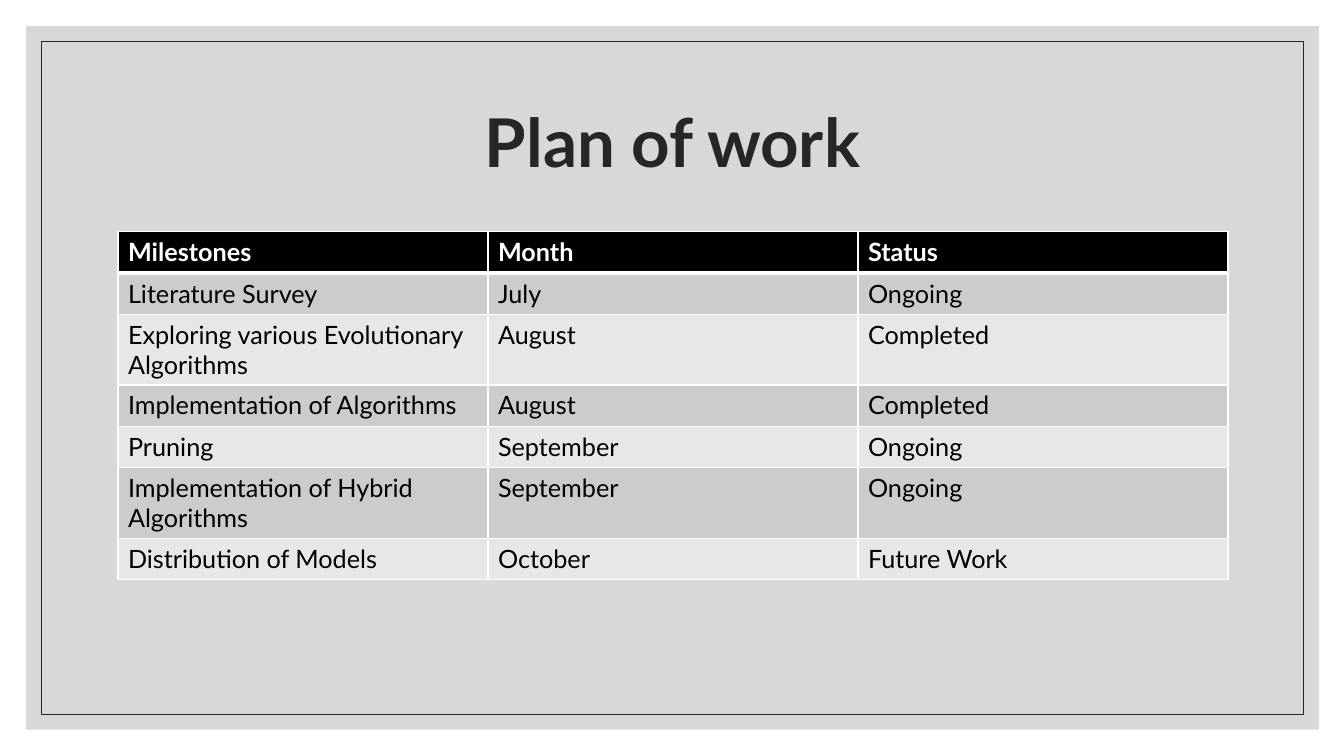
from dataclasses import dataclass

import lxml.etree
import pptx
import pptx.dml.color
import pptx.enum.shapes
import pptx.enum.text
import pptx.oxml.ns
import pptx.util

EMU_PER_PX = 9144  # 100 px to the inch
FONT = "Lato"
DARK, WHITE, BLACK = "262626", "FFFFFF", "000000"
HEADER_FILL, BAND_FILLS = BLACK, ("CCCCCC", "E7E7E7")
COLUMN_WIDTH, ROW_HEIGHT = 367, 41


@dataclass(frozen=True)
class Box:
    left: int
    top: int
    width: int
    height: int

    def emu(self) -> tuple:
        return tuple(px(n) for n in (self.left, self.top, self.width, self.height))


@dataclass(frozen=True)
class Milestone:
    name: str
    month: str
    status: str


HEADER = Milestone("Milestones", "Month", "Status")
MILESTONES = [
    Milestone("Literature Survey", "July", "Ongoing"),
    Milestone("Exploring various Evolutionary Algorithms", "August", "Completed"),
    Milestone("Implementation of Algorithms", "August", "Completed"),
    Milestone("Pruning", "September", "Ongoing"),
    Milestone("Implementation of Hybrid Algorithms", "September", "Ongoing"),
    Milestone("Distribution of Models", "October", "Future Work"),
]


def px(length: int) -> pptx.util.Emu:
    return pptx.util.Emu(length * EMU_PER_PX)


def rgb(color: str) -> pptx.dml.color.RGBColor:
    return pptx.dml.color.RGBColor.from_string(color)


def add_child(parent, tag: str, **attributes: str):
    return lxml.etree.SubElement(parent, pptx.oxml.ns.qn(tag), attributes)


def add_run(paragraph, text: str, size: int, color: str, bold: bool) -> None:
    run = paragraph.add_run()
    run.text = text
    run.font.name = FONT
    run.font.size = pptx.util.Pt(size)
    run.font.bold = bold
    run.font.color.rgb = rgb(color)


def add_rectangle(slide, box: Box):
    shape = slide.shapes.add_shape(pptx.enum.shapes.MSO_SHAPE.RECTANGLE, *box.emu())
    shape.shadow.inherit = False
    return shape


def add_background(slide) -> None:
    panel = add_rectangle(slide, Box(26, 26, 1282, 698))
    panel.fill.solid()
    panel.fill.fore_color.rgb = rgb("BFBFBF")
    color = panel.fill._xPr.find(".//" + pptx.oxml.ns.qn("a:srgbClr"))
    add_child(color, "a:alpha", val="60000")
    panel.line.fill.background()

    frame = add_rectangle(slide, Box(41, 41, 1252, 668))
    frame.fill.background()
    frame.line.color.rgb = rgb(DARK)
    frame.line.width = pptx.util.Pt(0.5)


def add_title(slide, text: str) -> None:
    title = slide.shapes.title
    slide.shapes._spTree.append(title._element)  # in front of the background
    title.left, title.top, title.width, title.height = Box(117, 70, 1100, 150).emu()
    title.text_frame.vertical_anchor = pptx.enum.text.MSO_ANCHOR.MIDDLE
    paragraph = title.text_frame.paragraphs[0]
    paragraph.alignment = pptx.enum.text.PP_ALIGN.CENTER
    paragraph.line_spacing = 0.9
    add_run(paragraph, text, 48, DARK, True)


def set_borders(cell, top: int, bottom: int) -> None:
    properties = cell._tc.get_or_add_tcPr()
    for side, points in (("L", 1), ("R", 1), ("T", top), ("B", bottom)):
        line = add_child(properties, f"a:ln{side}", w=str(pptx.util.Pt(points)))
        add_child(add_child(line, "a:solidFill"), "a:srgbClr", val=WHITE)


def add_plan(slide) -> None:
    rows = [HEADER, *MILESTONES]
    box = Box(117, 230, 3 * COLUMN_WIDTH, len(rows) * ROW_HEIGHT)
    table = slide.shapes.add_table(len(rows), 3, *box.emu()).table
    for column in table.columns:
        column.width = px(COLUMN_WIDTH)
    for index, milestone in enumerate(rows):
        table.rows[index].height = px(ROW_HEIGHT)
        is_header = index == 0
        fill = HEADER_FILL if is_header else BAND_FILLS[(index - 1) % 2]
        texts = (milestone.name, milestone.month, milestone.status)
        for cell, text in zip(table.rows[index].cells, texts):
            # Thick rule between the header and the first milestone
            set_borders(cell, 3 if index == 1 else 1, 3 if is_header else 1)
            cell.fill.solid()
            cell.fill.fore_color.rgb = rgb(fill)
            color = WHITE if is_header else BLACK
            add_run(cell.text_frame.paragraphs[0], text, 18, color, is_header)


def main() -> None:
    presentation = pptx.Presentation()
    presentation.slide_width, presentation.slide_height = px(1333), px(750)
    slide = presentation.slides.add_slide(presentation.slide_layouts[5])
    add_background(slide)
    add_title(slide, "Plan of work")
    add_plan(slide)
    presentation.save("out.pptx")


if __name__ == "__main__":
    main()
